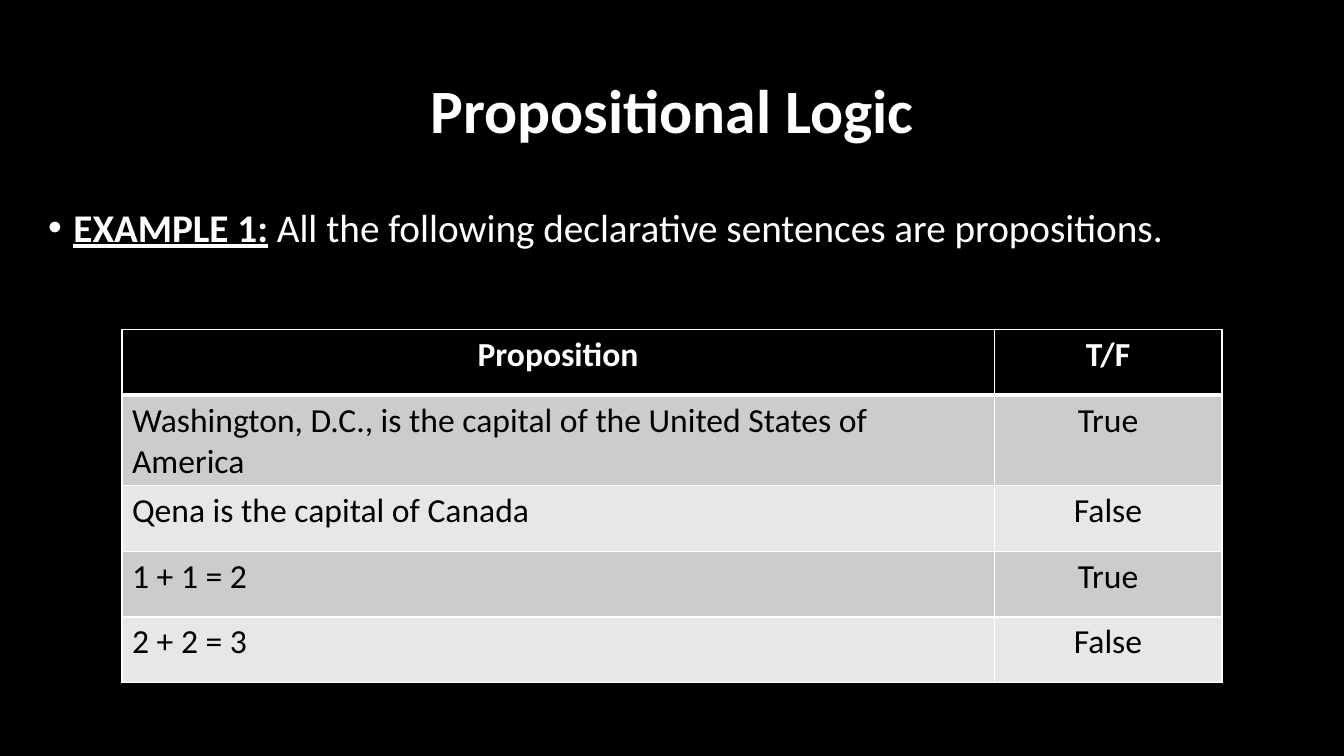
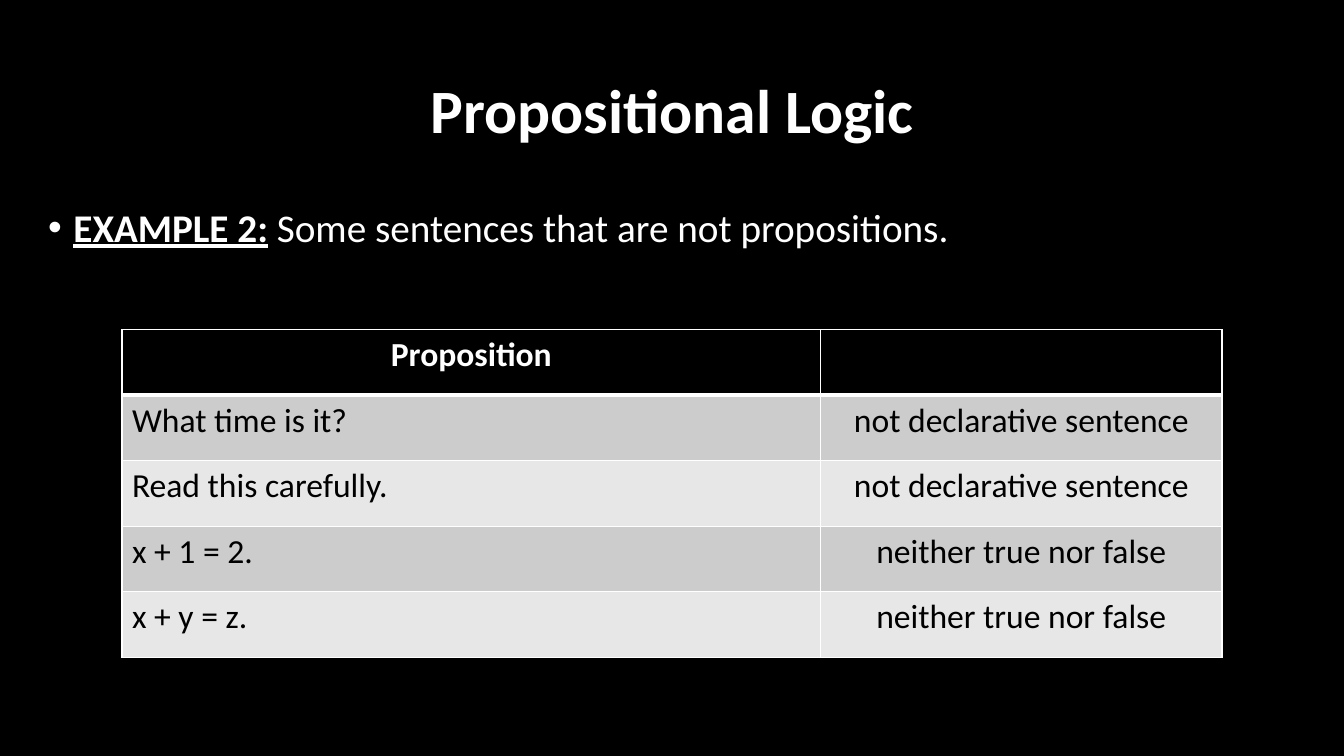
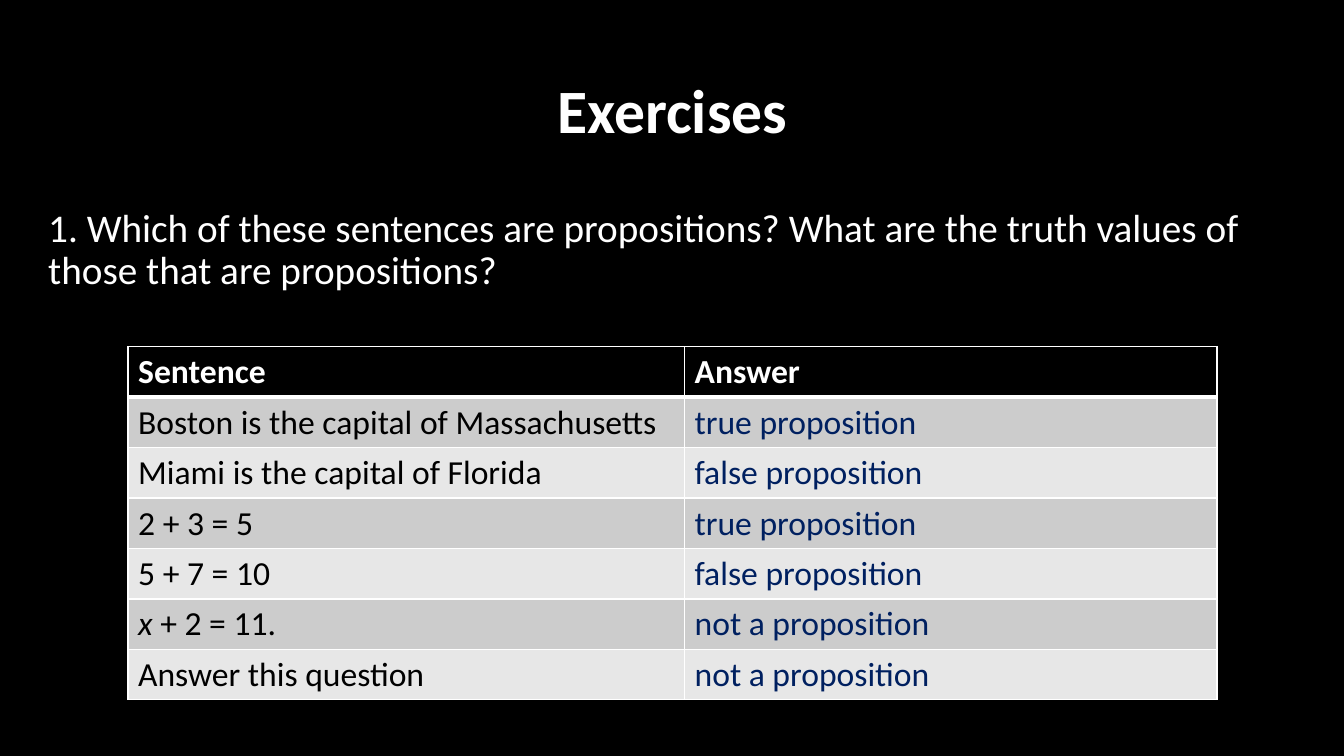
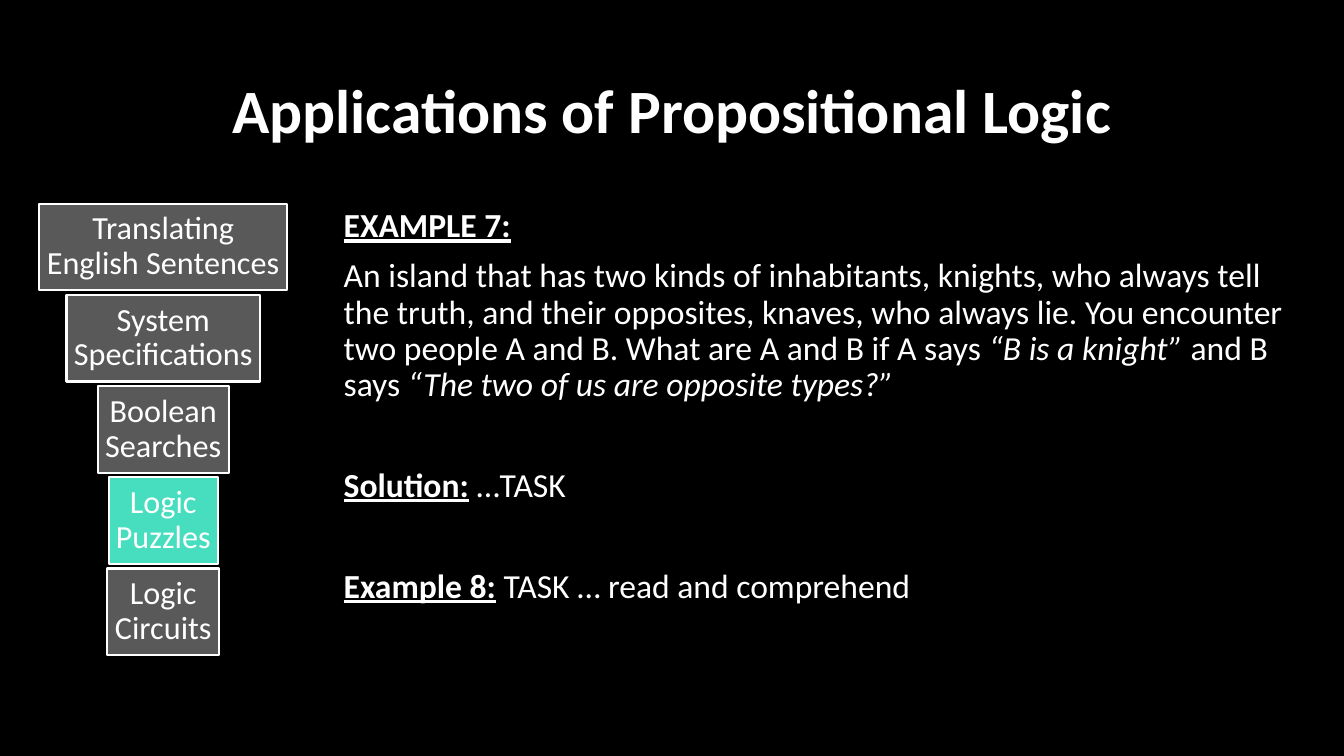
from lxml.etree import SubElement
from pptx import Presentation
from pptx.dml.color import RGBColor
from pptx.enum.shapes import MSO_SHAPE
from pptx.enum.text import MSO_ANCHOR, PP_ALIGN
from pptx.oxml.ns import qn
from pptx.util import Inches, Pt

FONT = "Calibri"
COLORS = {
    "black": "000000", "white": "FFFFFF", "navy": "002060", "gray": "595959",
    "teal": "46DEBF", "band_dark": "CCCCCC", "band_light": "E7E7E7",
}
LEFT, CENTER = PP_ALIGN.LEFT, PP_ALIGN.CENTER
BODY_TOP, BODY_HEIGHT = 2.02, 4.76

TABLE_SLIDES = [
    {
        "title": "Propositional Logic",
        "lead": [("EXAMPLE 1:", "bu"), " All the following declarative sentences are propositions."],
        "bullet": True,
        "at": (1.21, 3.27), "cols": (8.65, 2.26), "row": 0.65,
        "aligns": (LEFT, CENTER), "head_align": CENTER, "inks": ("black", "black"),
        "rows": [
            ("Proposition", "T/F"),
            ("Washington, D.C., is the capital of the United States of America", "True"),
            ("Qena is the capital of Canada", "False"),
            ("1 + 1 = 2", "True"),
            ("2 + 2 = 3", "False"),
        ],
    },
    {
        "title": "Propositional Logic",
        "lead": [("EXAMPLE 2:", "bu"), " Some sentences that are not propositions."],
        "bullet": True,
        "at": (1.21, 3.27), "cols": (6.93, 3.98), "row": 0.65,
        "aligns": (LEFT, CENTER), "head_align": CENTER, "inks": ("black", "black"),
        "rows": [
            ("Proposition", None),
            ("What time is it?", "not declarative sentence"),
            ("Read this carefully.", "not declarative sentence"),
            ("x + 1 = 2.", "neither true nor false"),
            ("x + y = z.", "neither true nor false"),
        ],
    },
    {
        "title": "Exercises",
        "lead": ["1. Which of these sentences are propositions? "
                 "What are the truth values of those that are propositions?"],
        "bullet": False,
        "at": (1.27, 3.44), "cols": (5.52, 5.28), "row": 0.5,
        "aligns": (LEFT, LEFT), "head_align": LEFT, "inks": ("black", "navy"),
        "rows": [
            ("Sentence", "Answer"),
            ("Boston is the capital of Massachusetts", "true proposition"),
            ("Miami is the capital of Florida", "false proposition"),
            ("2 + 3 = 5", "true proposition"),
            ("5 + 7 = 10", "false proposition"),
            ([("x ", "i"), "+ 2 = 11."], "not a proposition"),
            ("Answer this question", "not a proposition"),
        ],
    },
]

APPLICATIONS_TITLE = "Applications of Propositional Logic"
TOPICS = [
    ("Translating English Sentences", 2.46, "gray"),
    ("System Specifications", 1.92, "gray"),
    ("Boolean Searches", 1.3, "gray"),
    ("Logic Puzzles", 1.08, "teal"),
    ("Logic Circuits", 1.11, "gray"),
]
PUZZLE = [
    ([("EXAMPLE 7:", "bu")], 10),
    (["An island that has two kinds of inhabitants, knights, who always tell the truth, "
      "and their opposites, knaves, who always lie. You encounter two people A and B. "
      "What are A and B if A says ", ("“B is a knight”", "i"), " and B says ",
      ("“The two of us are opposite types?”", "i")], 10),
    ([("Solution:", "bu"), " …TASK"], 46),
    ([("Example 8:", "bu"), " TASK … read and comprehend"], 46),
]


def rgb(name):
    return RGBColor.from_string(COLORS[name])


def write(p, text, size=24, color="white", bold=False, align=LEFT, line=None, before=0):
    p.alignment = align
    p.space_before = Pt(before)
    if line:
        p.line_spacing = line
    for run in [text] if isinstance(text, str) else text:
        words, style = (run, "") if isinstance(run, str) else run
        r = p.add_run()
        r.text = words
        font = r.font
        font.name, font.size = FONT, Pt(size)
        font.color.rgb = rgb(color)
        font.bold = bold or "b" in style
        font.italic = "i" in style
        font.underline = "u" in style


def add_box(s, left, top, width, height, anchor=MSO_ANCHOR.TOP):
    tf = s.shapes.add_textbox(*map(Inches, (left, top, width, height))).text_frame
    tf.word_wrap = True
    tf.vertical_anchor = anchor
    return tf


def add_slide(prs, title):
    s = prs.slides.add_slide(prs.slide_layouts[6])
    tf = add_box(s, 0.92, 0.4, 11.5, 1.45, MSO_ANCHOR.MIDDLE)
    write(tf.paragraphs[0], title, size=44, bold=True, align=CENTER, line=0.9)
    return s


def add_bullet(p):
    pPr = p._p.get_or_add_pPr()
    pPr.set("marL", str(Inches(0.25)))
    pPr.set("indent", str(Inches(-0.25)))
    SubElement(pPr, qn("a:buFont"), typeface="Arial")
    SubElement(pPr, qn("a:buChar"), char="•")


def set_borders(cell, row):
    widths = {"L": 1, "R": 1, "T": 3 if row == 1 else 1, "B": 3 if row == 0 else 1}
    tcPr = cell._tc.get_or_add_tcPr()
    for side, width in widths.items():
        ln = SubElement(tcPr, qn(f"a:ln{side}"), w=str(Pt(width)))
        SubElement(SubElement(ln, qn("a:solidFill")), qn("a:srgbClr"), val=COLORS["white"])


def add_grid(s, data):
    rows, cols = data["rows"], data["cols"]
    table = s.shapes.add_table(
        len(rows), len(cols), *map(Inches, data["at"]),
        Inches(sum(cols)), Inches(data["row"] * len(rows))).table
    for column, width in zip(table.columns, cols):
        column.width = Inches(width)
    for i, texts in enumerate(rows):
        table.rows[i].height = Inches(data["row"])
        head = i == 0
        fill = "black" if head else "band_dark" if i % 2 else "band_light"
        for j, text in enumerate(texts):
            cell = table.cell(i, j)
            set_borders(cell, i)
            cell.fill.solid()
            cell.fill.fore_color.rgb = rgb(fill)
            if text:
                write(cell.text_frame.paragraphs[0], text, bold=head,
                      color="white" if head else data["inks"][j],
                      align=data["head_align"] if head else data["aligns"][j])


def add_table_slide(prs, data):
    s = add_slide(prs, data["title"])
    p = add_box(s, 0.38, BODY_TOP, 12.58, BODY_HEIGHT).paragraphs[0]
    write(p, data["lead"], size=28, line=0.9, before=10)
    if data["bullet"]:
        add_bullet(p)
    add_grid(s, data)


def add_topics(s):
    center, height, gap = 1.62, 0.86, 0.045
    for i, (name, width, fill) in enumerate(TOPICS):
        top = BODY_TOP + i * (height + gap)
        sp = s.shapes.add_shape(
            MSO_SHAPE.RECTANGLE, *map(Inches, (center - width / 2, top, width, height)))
        sp.shadow.inherit = False
        sp.fill.solid()
        sp.fill.fore_color.rgb = rgb(fill)
        sp.line.color.rgb = rgb("white")
        sp.line.width = Pt(1.5)
        tf = sp.text_frame
        tf.word_wrap = True
        tf.vertical_anchor = MSO_ANCHOR.MIDDLE
        tf.margin_left = tf.margin_right = tf.margin_top = tf.margin_bottom = Inches(0.05)
        write(tf.paragraphs[0], name, size=23, align=CENTER, line=0.9)


def add_applications_slide(prs):
    s = add_slide(prs, APPLICATIONS_TITLE)
    add_topics(s)
    tf = add_box(s, 3.31, BODY_TOP, 9.65, BODY_HEIGHT)
    for i, (text, before) in enumerate(PUZZLE):
        p = tf.add_paragraph() if i else tf.paragraphs[0]
        write(p, text, line=0.9, before=before)


def main():
    prs = Presentation()
    prs.slide_width, prs.slide_height = Inches(13.33), Inches(7.5)
    background = prs.slide_master.background.fill
    background.solid()
    background.fore_color.rgb = rgb("black")
    for data in TABLE_SLIDES:
        add_table_slide(prs, data)
    add_applications_slide(prs)
    prs.save("out.pptx")


if __name__ == "__main__":
    main()
